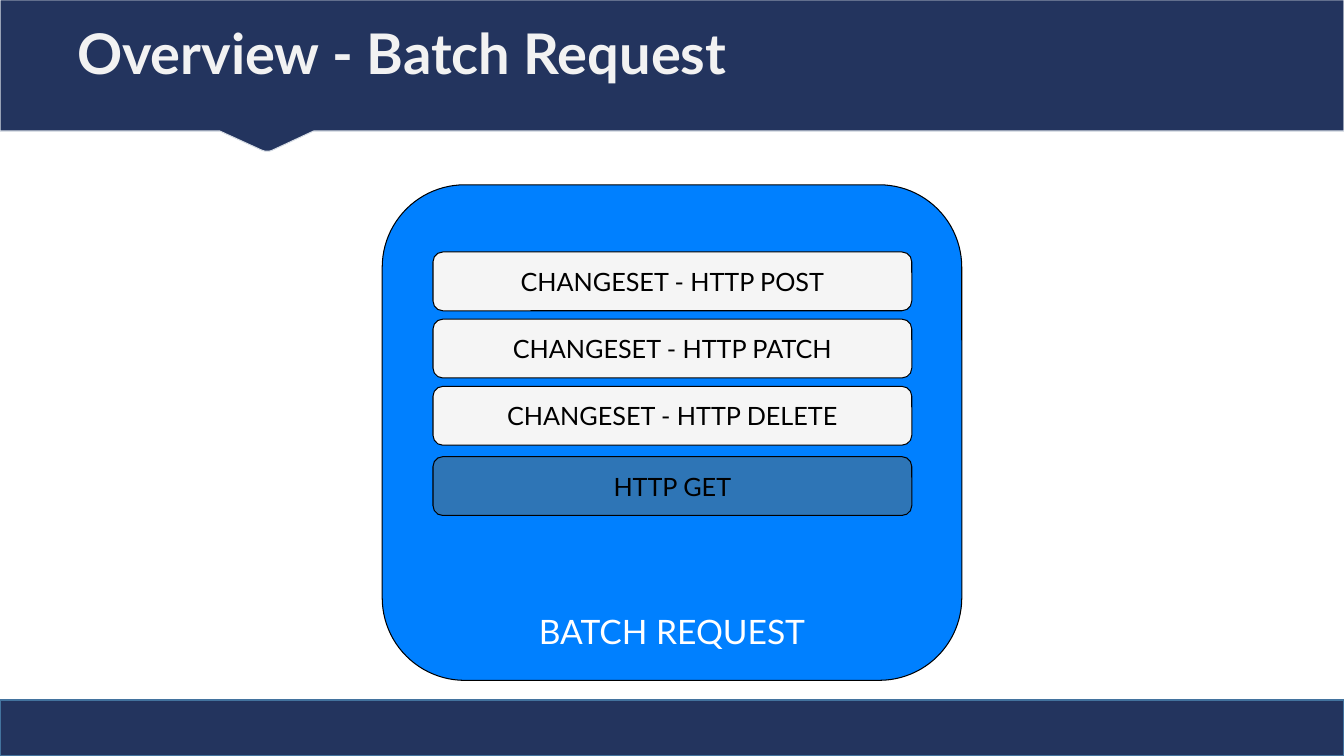
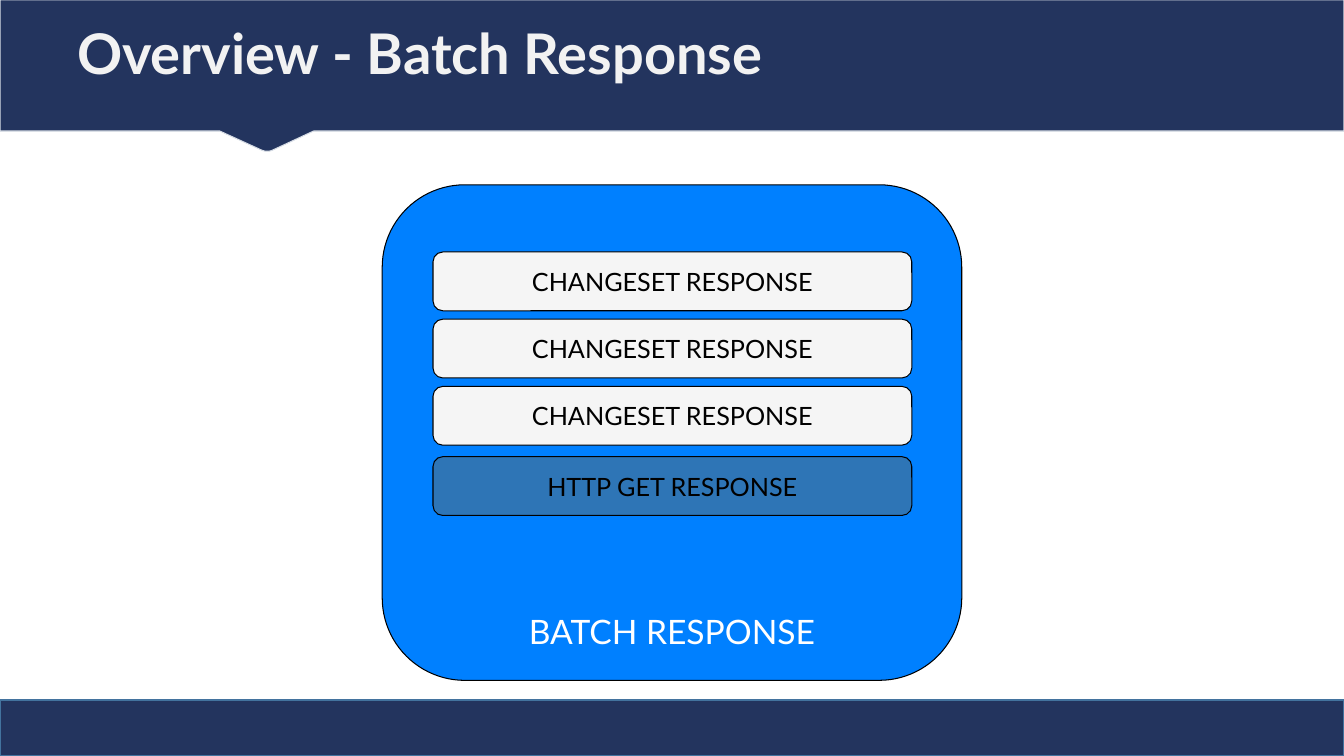
from pptx import Presentation
from pptx.dml.color import RGBColor
from pptx.enum.shapes import MSO_SHAPE
from pptx.enum.text import MSO_ANCHOR, PP_ALIGN
from pptx.oxml import parse_xml
from pptx.oxml.ns import nsdecls
from pptx.util import Pt

COLORS = {
    "navy": "23345E",
    "edge": "43739E",
    "pale": "D6DCE5",
    "title": "F2F2F2",
    "panel": "0080FF",
    "light": "F5F5F5",
    "steel": "2E75B6",
    "black": "000000",
    "white": "FFFFFF",
}
WIDTH, HEIGHT = 960, 540
NOTCH = [(0, 0), (0, 93.6), (157, 93.6), (187.2, 107.4), (189.4, 108),
         (192.4, 108), (194.4, 107.4), (224, 93.6), (WIDTH, 93.6)]
SHADOW = (
    f'<a:effectLst {nsdecls("a")}>'
    '<a:outerShdw blurRad="38100" dist="38100" dir="2700000" algn="tl">'
    '<a:srgbClr val="000000"><a:alpha val="43000"/></a:srgbClr>'
    '</a:outerShdw></a:effectLst>'
)


class Deck:
    """Holds the shared style and the slide being drawn."""

    font = "Lato"

    def __init__(self):
        self.show = Presentation()
        self.show.slide_width = Pt(WIDTH)
        self.show.slide_height = Pt(HEIGHT)
        self.slide = None

    def color(self, name):
        return RGBColor.from_string(COLORS[name])

    def paint(self, shape, fill, line, weight=0.75):
        shape.shadow.inherit = False
        shape.fill.solid()
        shape.fill.fore_color.rgb = self.color(fill)
        shape.line.color.rgb = self.color(line)
        shape.line.width = Pt(weight)

    def label(self, shape, text, size, color, anchor, align, wrap=False):
        frame = shape.text_frame
        frame.text = text
        frame.word_wrap = wrap
        frame.vertical_anchor = anchor
        para = frame.paragraphs[0]
        para.alignment = align
        run = para.runs[0]
        run.font.size = Pt(size)
        run.font.color.rgb = self.color(color)
        run.font.name = self.font
        return run

    def page(self, title):
        self.slide = self.show.slides.add_slide(self.show.slide_layouts[6])
        self.bands()
        self.title(title)

    def bands(self):
        shapes = self.slide.shapes
        foot = shapes.add_shape(MSO_SHAPE.RECTANGLE, 0, Pt(500), Pt(WIDTH), Pt(40))
        self.paint(foot, "navy", "edge", 1.25)
        pen = shapes.build_freeform(Pt(WIDTH), 0)
        pen.add_line_segments([(Pt(x), Pt(y)) for x, y in NOTCH])
        self.paint(pen.convert_to_shape(), "navy", "pale")

    def title(self, text):
        box = self.slide.shapes.add_textbox(Pt(48), Pt(8), Pt(864), Pt(57))
        run = self.label(box, text, 40, "title", MSO_ANCHOR.BOTTOM, PP_ALIGN.LEFT, True)
        run.font.bold = True
        run.font._element.insert(1, parse_xml(SHADOW))

    def block(self, group, rect, fill, text, size, color, anchor):
        shape = group.shapes.add_shape(MSO_SHAPE.ROUNDED_RECTANGLE, *map(Pt, rect))
        self.paint(shape, fill, "black")
        self.label(shape, text, size, color, anchor, PP_ALIGN.CENTER)

    def batch(self, name, sets, get):
        group = self.slide.shapes.add_group_shape()
        self.block(group, (273, 132, 414, 354), "panel", name, 24, "white",
                   MSO_ANCHOR.BOTTOM)
        bars = [(180 + 48 * i, "light", text) for i, text in enumerate(sets)]
        bars.append((326.2, "steel", get))
        for top, fill, text in bars:
            self.block(group, (309.3, top, 342, 42), fill, text, 18, "black",
                       MSO_ANCHOR.MIDDLE)


def main():
    deck = Deck()
    deck.page("Overview - Batch Request")
    verbs = ["POST", "PATCH", "DELETE"]
    deck.batch("BATCH REQUEST", [f"CHANGESET - HTTP {verb}" for verb in verbs],
               "HTTP GET")
    deck.page("Overview - Batch Response")
    deck.batch("BATCH RESPONSE", ["CHANGESET RESPONSE"] * 3, "HTTP GET RESPONSE")
    deck.show.save("out.pptx")


if __name__ == "__main__":
    main()
